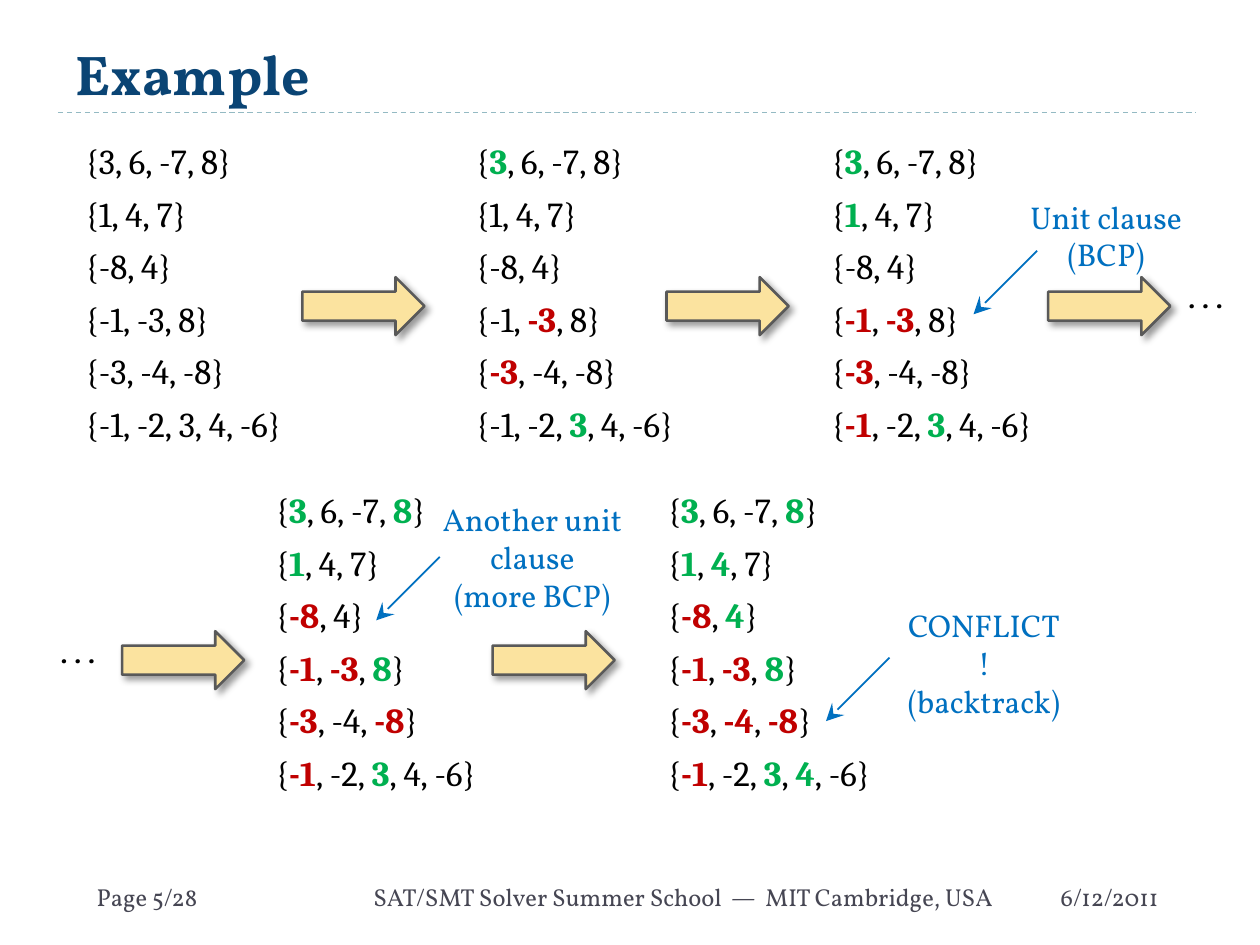
"""Build a slide that traces unit propagation through six clauses until a conflict."""
from lxml import etree
from pptx import Presentation
from pptx.dml.color import RGBColor
from pptx.enum.dml import MSO_LINE
from pptx.enum.shapes import MSO_CONNECTOR, MSO_SHAPE
from pptx.enum.text import MSO_ANCHOR, PP_ALIGN
from pptx.oxml.ns import qn
from pptx.util import Pt

STRAIGHT = MSO_CONNECTOR.STRAIGHT
RIGHT_ARROW = MSO_SHAPE.RIGHT_ARROW
DASH = MSO_LINE.DASH
BOTTOM, TOP = MSO_ANCHOR.BOTTOM, MSO_ANCHOR.TOP
LEFT, CENTER, RIGHT = PP_ALIGN.LEFT, PP_ALIGN.CENTER, PP_ALIGN.RIGHT

THEME = {
    "text_font": "Vollkorn", "clause_font": "Cambria",
    "title_size": 32, "clause_size": 20, "note_size": 18, "footer_size": 14,
    "title": "0A4474", "rule": "94BAC3", "footer": "464653", "text": "000000",
    "true": "00B050", "false": "C00000", "note": "0070C0",
    "arrow_fill": "FBE39F", "arrow_line": "595959", "shadow": "000000",
}

TITLE = "Example"
CLAUSES = [
    [3, 6, -7, 8],
    [1, 4, 7],
    [-8, 4],
    [-1, -3, 8],
    [-3, -4, -8],
    [-1, -2, 3, 4, -6],
]
DECISIONS = [3, 1, 8, 4]
STATE_POSITIONS = [(36.7, 76.3), (259.9, 76.3), (463, 76.3), (145.4, 275.8), (369.4, 275.8)]
STATE_SIZE = (151.2, 221)
ARROW_POSITIONS = [(172.8, 158.4), (380.9, 158.4), (599, 158.4), (69.8, 360.7), (281.5, 360.7)]
ARROW_SIZE = (69.8, 33.1)
NOTES = [
    ("Unit clause\n(BCP)", (581, 109.4, 102.2, 51.1), (592.6, 143.3)),
    ("Another unit\nclause\n(more BCP)", (244.1, 282.2, 120.2, 72.7), (251.3, 318.2)),
    ("CONFLICT!\n(backtrack)", (508.3, 342.7, 108, 51.1), (508.3, 375.8)),
]
POINTER_SPAN = 36.3
ELLIPSES = [(671.8, 154.8), (27.4, 357.8)]
FOOTERS = [
    ("Page 5/28", 48.2, 105.8, LEFT),
    ("SAT/SMT Solver Summer School  —  MIT Cambridge, USA", 121, 453.6, RIGHT),
    ("6/12/2011", 599, 85.7, LEFT),
]


def color(name):
    return RGBColor.from_string(THEME[name])


def style(font, face, size, tint, bold=False):
    font.name, font.size, font.bold = THEME[face], Pt(THEME[size]), bold
    font.color.rgb = color(tint)


def add_text(slide, text, box, size, tint, align=LEFT, wrap=True):
    shape = slide.shapes.add_textbox(*map(Pt, box))
    shape.text_frame.word_wrap = wrap
    paragraph = shape.text_frame.paragraphs[0]
    paragraph.text = text
    paragraph.alignment = align
    for run in paragraph.runs:
        style(run.font, "text_font", size, tint)


def add_line(slide, start, end, tint, width):
    line = slide.shapes.add_connector(STRAIGHT, *map(Pt, start + end))
    line.line.color.rgb = color(tint)
    line.line.width = Pt(width)
    etree.SubElement(line._element.spPr, qn("a:effectLst"))
    return line


def add_state(slide, position, assignment):
    frame = slide.shapes.add_textbox(*map(Pt, position + STATE_SIZE)).text_frame
    frame.word_wrap = True
    for row, clause in enumerate(CLAUSES):
        paragraph = frame.add_paragraph() if row else frame.paragraphs[0]
        paragraph.space_before = Pt(6 if row else 0)
        paragraph._p.get_or_add_pPr().set("marL", str(Pt(5)))
        pieces = [("{", "text")]
        for index, literal in enumerate(clause):
            if index:
                pieces.append((", ", "text"))
            tint = "true" if literal in assignment else "false" if -literal in assignment else "text"
            pieces.append((str(literal), tint))
        pieces.append(("}", "text"))
        for text, tint in pieces:
            run = paragraph.add_run()
            run.text = text
            style(run.font, "clause_font", "clause_size", tint, tint != "text")


def add_arrow(slide, position):
    shape = slide.shapes.add_shape(RIGHT_ARROW, *map(Pt, position + ARROW_SIZE))
    shape.fill.solid()
    shape.fill.fore_color.rgb = color("arrow_fill")
    shape.line.color.rgb = color("arrow_line")
    shape.line.width = Pt(1.5)
    shape.shadow.inherit = False
    effects = shape._element.spPr.find(qn("a:effectLst"))
    shadow = etree.SubElement(effects, qn("a:outerShdw"), blurRad=str(Pt(4)), dist=str(Pt(3)),
                              dir="2700000", algn="tl", rotWithShape="0")
    tint = etree.SubElement(shadow, qn("a:srgbClr"), val=THEME["shadow"])
    etree.SubElement(tint, qn("a:alpha"), val="40000")


def add_note(slide, text, box, start):
    end = (start[0] - POINTER_SPAN, start[1] + POINTER_SPAN)
    pointer = add_line(slide, start, end, "note", 1)
    etree.SubElement(pointer.line._get_or_add_ln(), qn("a:tailEnd"), type="stealth", w="lg", len="lg")
    add_text(slide, text, box, "note_size", "note", CENTER)


def add_title(slide):
    title = slide.shapes.title
    title.left, title.top, title.width, title.height = map(Pt, (36, 12.2, 648, 52.6))
    title.text_frame.text = TITLE
    title.text_frame.vertical_anchor = BOTTOM
    paragraph = title.text_frame.paragraphs[0]
    paragraph.alignment = LEFT
    style(paragraph.runs[0].font, "text_font", "title_size", "title", True)


def main():
    presentation = Presentation()
    presentation.slide_width, presentation.slide_height = Pt(720), Pt(540)
    slide = presentation.slides.add_slide(presentation.slide_layouts[5])
    for text, left, width, align in FOOTERS:
        add_text(slide, text, (left, 500.4, width, 28.8), "footer_size", "footer", align)
    add_line(slide, (33.1, 64.1), (683.3, 64.1), "rule", 0.75).line.dash_style = DASH
    add_title(slide)
    for step, position in enumerate(STATE_POSITIONS):
        add_state(slide, position, DECISIONS[:step])
    for note in NOTES:
        add_note(slide, *note)
    for position in ARROW_POSITIONS:
        add_arrow(slide, position)
    for position in ELLIPSES:
        add_text(slide, ". . .", position + (37.4, 28.8), "note_size", "text", wrap=False)
    presentation.save("out.pptx")


if __name__ == "__main__":
    main()
